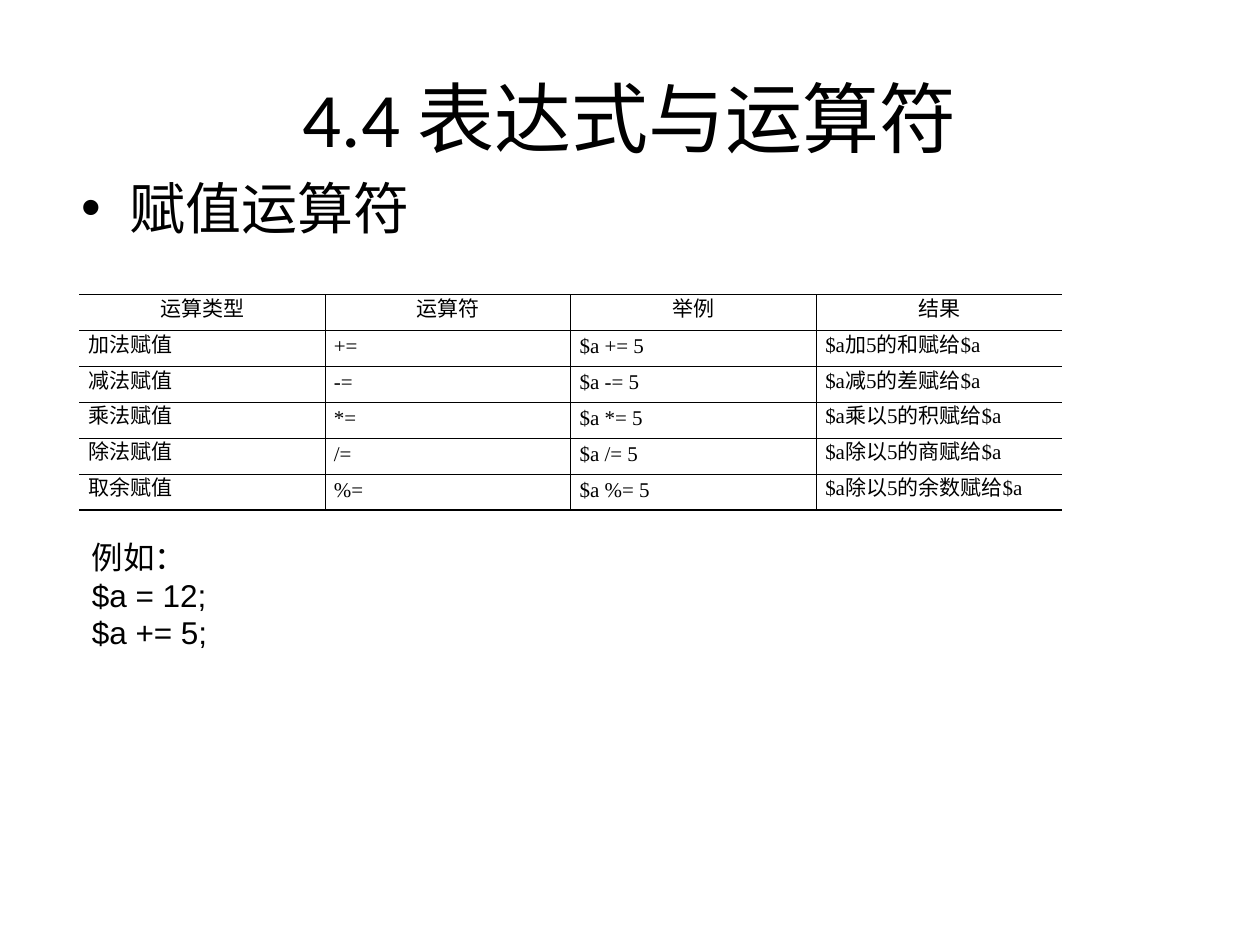
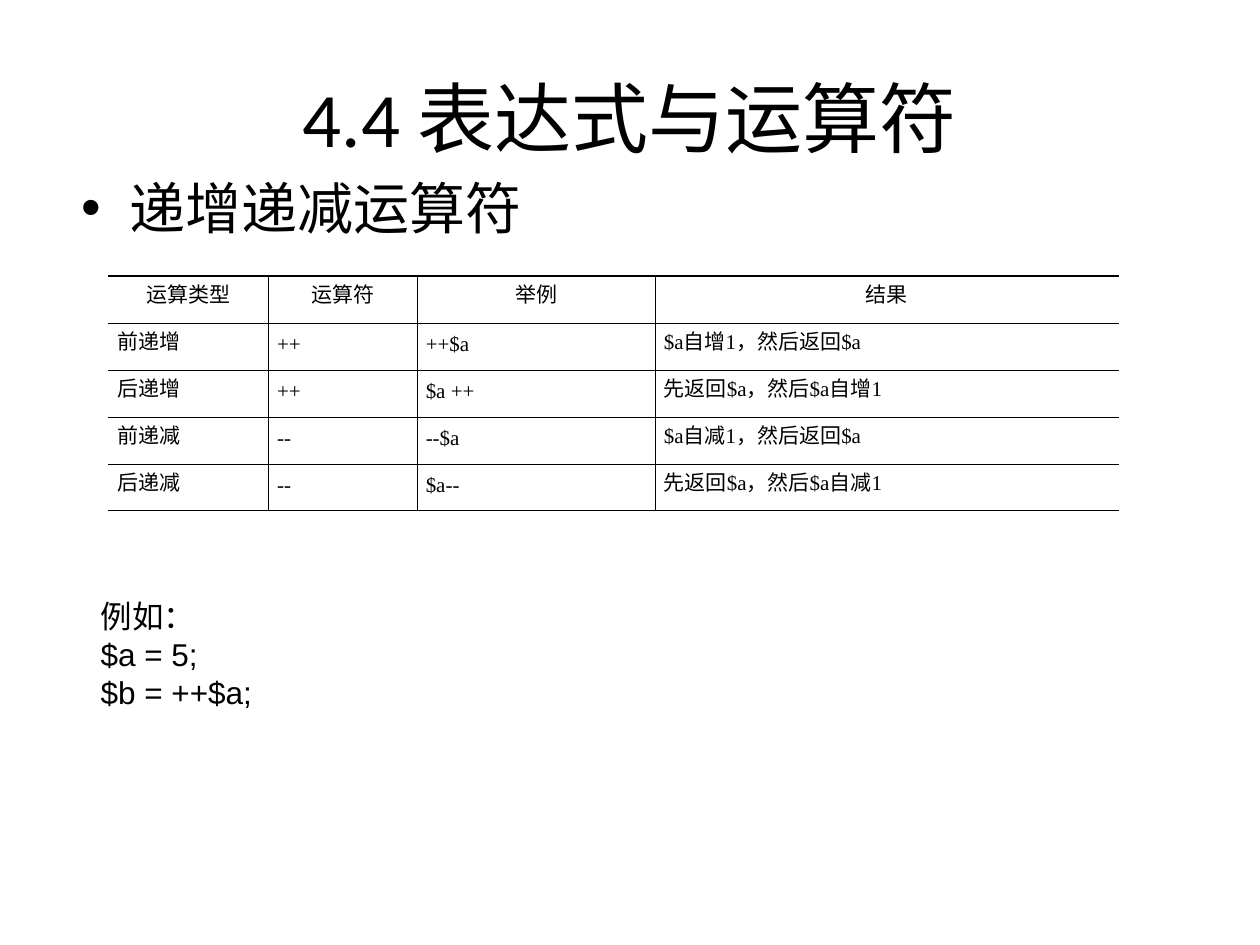
"""Builds two slides on assignment and increment operators, each with a table and an example."""
from dataclasses import dataclass

from lxml import etree
from pptx import Presentation
from pptx.dml.color import RGBColor
from pptx.enum.text import MSO_ANCHOR, MSO_AUTO_SIZE, PP_ALIGN
from pptx.oxml.ns import qn
from pptx.util import Inches, Pt

CENTER, LEFT = PP_ALIGN.CENTER, PP_ALIGN.LEFT
MIDDLE = MSO_ANCHOR.MIDDLE
NO_FIT, GROW = MSO_AUTO_SIZE.NONE, MSO_AUTO_SIZE.SHAPE_TO_FIT_TEXT
TITLE_ONLY = 5


@dataclass(frozen=True)
class Theme:
    ink: str = "000000"
    title_font: str = "Calibri"
    body_font: str = "Arial"
    table_font: str = "Times New Roman"
    title_size: int = 44
    topic_size: int = 32
    example_size: int = 18
    table_size: int = 12
    table_leading: int = 11
    outer_rule: float = 0.75
    inner_rule: float = 0.45


theme = Theme()
TITLE = "4.4 表达式与运算符"
HEADINGS = ("运算类型", "运算符", "举例", "结果")
SLIDES = [
    {
        "topic": "赋值运算符",
        "topic_height": 2.03,
        "example": "例如：\n$a = 12;\n$a += 5;",
        "example_at": (0.63, 4.22, 6.48, 1.6),
        "table_at": (0.63, 2.34),
        "columns": (1.95, 1.95, 1.95, 1.95),
        "row_height": 0.285,
        "rows": [
            ("加法赋值", "+=", "$a += 5", "$a加5的和赋给$a"),
            ("减法赋值", "-=", "$a -= 5", "$a减5的差赋给$a"),
            ("乘法赋值", "*=", "$a *= 5", "$a乘以5的积赋给$a"),
            ("除法赋值", "/=", "$a /= 5", "$a除以5的商赋给$a"),
            ("取余赋值", "%=", "$a %= 5", "$a除以5的余数赋给$a"),
        ],
    },
    {
        "topic": "递增递减运算符",
        "topic_height": 0.78,
        "example": "例如：\n$a = 5;\n$b = ++$a;",
        "example_at": (0.7, 4.69, 8.98, 1.6),
        "table_at": (0.86, 2.19),
        "columns": (1.27, 1.18, 1.89, 3.68),
        "row_height": 0.373,
        "rows": [
            ("前递增", "++", "++$a", "$a自增1，然后返回$a"),
            ("后递增", "++", "$a ++", "先返回$a，然后$a自增1"),
            ("前递减", "--", "--$a", "$a自减1，然后返回$a"),
            ("后递减", "--", "$a--", "先返回$a，然后$a自减1"),
        ],
    },
]


def style_text(frame, font, size, align=LEFT):
    for para in frame.paragraphs:
        para.alignment = align
        para.font.name = font
        para.font.size = Pt(size)
        para.font.bold = False
        para.font.color.rgb = RGBColor.from_string(theme.ink)


def set_borders(cell, widths):
    properties = cell._tc.get_or_add_tcPr()
    for position, (side, width) in enumerate(widths.items()):
        line = etree.Element(qn(f"a:ln{side}"), w=str(Pt(width)))
        if width:
            fill = etree.SubElement(line, qn("a:solidFill"))
            etree.SubElement(fill, qn("a:srgbClr"), val=theme.ink)
        else:
            etree.SubElement(line, qn("a:noFill"))
        properties.insert(position, line)


deck = Presentation()
deck.slide_width, deck.slide_height = Inches(10), Inches(7.5)

for content in SLIDES:
    page = deck.slides.add_slide(deck.slide_layouts[TITLE_ONLY])
    title = page.shapes.title
    title.left, title.top, title.width, title.height = map(Inches, (0.5, 0.3, 9, 1.25))
    title.text_frame.text = TITLE
    title.text_frame.vertical_anchor = MIDDLE
    title.text_frame.auto_size = NO_FIT
    style_text(title.text_frame, theme.title_font, theme.title_size, CENTER)

    topic_at = (0.55, 1.33, 9, content["topic_height"])
    topic = page.shapes.add_textbox(*map(Inches, topic_at)).text_frame
    topic.word_wrap = True
    topic.text = content["topic"]
    para = topic.paragraphs[0]
    bullet = para._p.get_or_add_pPr()
    bullet.set("marL", str(Inches(0.38)))
    bullet.set("indent", str(Inches(-0.38)))
    etree.SubElement(bullet, qn("a:buFont"), typeface=theme.body_font)
    etree.SubElement(bullet, qn("a:buChar"), char="•")
    para.space_before = Pt(8)
    style_text(topic, theme.body_font, theme.topic_size)

    example = page.shapes.add_textbox(*map(Inches, content["example_at"])).text_frame
    example.word_wrap = True
    example.auto_size = GROW
    example.text = content["example"]
    style_text(example, theme.body_font, theme.example_size)

    rows = [HEADINGS, *content["rows"]]
    columns = content["columns"]
    size = (sum(columns), content["row_height"] * len(rows))
    table = page.shapes.add_table(
        len(rows), len(columns), *map(Inches, (*content["table_at"], *size))
    ).table
    table.first_row = table.horz_banding = False
    for column, width in zip(table.columns, columns):
        column.width = Inches(width)
    last_row, last_column = len(rows) - 1, len(columns) - 1
    for r, row in enumerate(rows):
        table.rows[r].height = Inches(content["row_height"])
        for c, text in enumerate(row):
            cell = table.cell(r, c)
            cell.text = text
            cell.fill.background()
            cell.vertical_anchor = MIDDLE
            cell.margin_left = cell.margin_right = Inches(0.07)
            cell.margin_top = cell.margin_bottom = Inches(0.05)
            cell.text_frame.paragraphs[0].line_spacing = Pt(theme.table_leading)
            style_text(cell.text_frame, theme.table_font, theme.table_size,
                       CENTER if r == 0 else LEFT)
            set_borders(cell, {
                "L": theme.inner_rule if c > 0 else 0,
                "R": theme.inner_rule if c < last_column else 0,
                "T": theme.inner_rule if r > 0 else theme.outer_rule,
                "B": theme.inner_rule if r < last_row else theme.outer_rule,
            })

deck.save("out.pptx")
